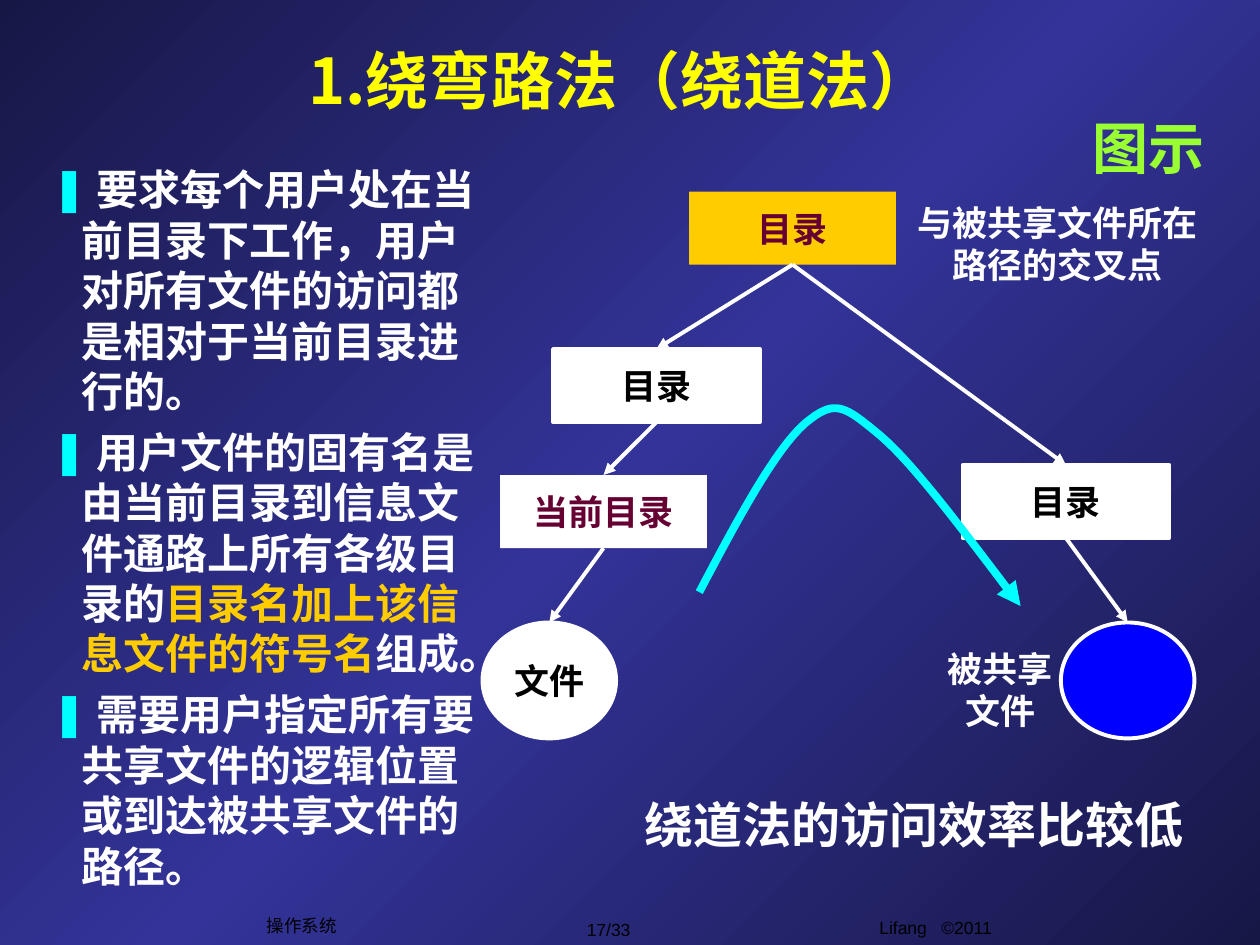
from copy import deepcopy

from lxml.etree import SubElement
from pptx import Presentation
from pptx.dml.color import RGBColor
from pptx.enum.shapes import MSO_CONNECTOR, MSO_SHAPE
from pptx.enum.text import MSO_ANCHOR, MSO_AUTO_SIZE, PP_ALIGN
from pptx.oxml.ns import qn
from pptx.util import Inches, Pt

COLORS = {
    "night": "171746", "indigo": "333399", "white": "FFFFFF", "black": "000000",
    "yellow": "FFFF00", "green": "99FF33", "gold": "FFCC00", "wine": "660033",
    "blue": "0000FF", "cyan": "00FFFF",
}
SERIF = "Times New Roman"
TOP, BOTTOM = 0, 2


def rgb(name):
    return RGBColor.from_string(COLORS[name])


def style(paragraph, size, color, font=SERIF, bold=True, align=PP_ALIGN.CENTER):
    paragraph.alignment = align
    paragraph.font.size = Pt(size)
    paragraph.font.name = font
    paragraph.font.bold = bold
    paragraph.font.color.rgb = rgb(color)


def write(shape, text, size, color, wrap=True, anchor=MSO_ANCHOR.MIDDLE,
          spacing=None, **look):
    frame = shape.text_frame
    frame.auto_size = MSO_AUTO_SIZE.NONE
    frame.word_wrap = wrap
    frame.vertical_anchor = anchor
    paragraph = frame.paragraphs[0]
    paragraph.text = text
    if spacing:
        paragraph.line_spacing = Pt(spacing)
    style(paragraph, size, color, **look)


def place(shape, box):
    shape.left, shape.top, shape.width, shape.height = map(Inches, box)


def add_text(slide, box, text, size, color, **look):
    write(slide.shapes.add_textbox(*map(Inches, box)), text, size, color, **look)


def paint_background(slide):
    fill = slide.background.fill
    fill.gradient()
    fill.gradient_angle = 315
    stop_list = slide.element.find(".//" + qn("a:gsLst"))
    first = stop_list[0]
    for extra in list(stop_list)[1:]:
        stop_list.remove(extra)
    for _ in range(2):
        stop_list.append(deepcopy(first))
    for stop, position, color in zip(fill.gradient_stops, (0, 0.5, 1),
                                     ("night", "indigo", "night")):
        stop.position = position
        stop.color.rgb = rgb(color)


def add_heading(slide, box):
    title = slide.shapes.title
    place(title, box)
    write(title, "1.绕弯路法（绕道法）", 36, "yellow", font="Noto Sans CJK SC")
    left, top, width, _ = box
    add_text(slide, (left + width - 3.75, top + 0.53, 4.4, 0.72), "图示", 32, "green",
             align=PP_ALIGN.RIGHT)


def add_bullet(paragraph):
    properties = paragraph._p.get_or_add_pPr()
    properties.set("marL", str(Inches(0.24)))
    properties.set("indent", str(-Inches(0.24)))
    bullet_color = SubElement(properties, qn("a:buClr"))
    SubElement(bullet_color, qn("a:srgbClr")).set("val", COLORS["cyan"])
    SubElement(properties, qn("a:buChar")).set("char", "❚")


def add_points(slide, box):
    points = [
        [(" 要求每个用户处在当前目录下工作，用户对所有文件的访问都是相对于当前目录进行的。", "white")],
        [(" 用户文件的固有名是由当前目录到信息文件通路上所有各级目录的", "white"),
         ("目录名加上该信息文件的符号名", "gold"), ("组成。", "white")],
        [(" 需要用户指定所有要共享文件的逻辑位置或到达被共享文件的路径。", "white")],
    ]
    body = slide.placeholders[1]
    place(body, box)
    frame = body.text_frame
    frame.auto_size = MSO_AUTO_SIZE.NONE
    frame.word_wrap = True
    frame.vertical_anchor = MSO_ANCHOR.TOP
    for index, parts in enumerate(points):
        paragraph = frame.add_paragraph() if index else frame.paragraphs[0]
        paragraph.space_before = Pt(6 if index else 0)
        paragraph.line_spacing = Pt(28.8)
        add_bullet(paragraph)
        style(paragraph, 24, "white", font="Lato", align=PP_ALIGN.LEFT)
        for text, color in parts:
            run = paragraph.add_run()
            run.text = text
            if color != "white":
                run.font.color.rgb = rgb(color)


def add_node(slide, kind, box, fill, outlined, text="", color="black"):
    node = slide.shapes.add_shape(kind, *map(Inches, box))
    node.shadow.inherit = False
    node.fill.solid()
    node.fill.fore_color.rgb = rgb(fill)
    if outlined:
        node.line.color.rgb = rgb("white")
        node.line.width = Pt(2.25)
    else:
        node.line.fill.background()
    if text:
        write(node, text, 20, color, wrap=False)
    return node


def add_arrowhead(line):
    SubElement(line.line._get_or_add_ln(), qn("a:tailEnd")).set("type", "triangle")


def link(slide, parent, child):
    arrow = slide.shapes.add_connector(MSO_CONNECTOR.STRAIGHT, 0, 0, 0, 0)
    arrow.begin_connect(parent, BOTTOM)
    arrow.end_connect(child, TOP)
    arrow.line.color.rgb = rgb("white")
    arrow.line.width = Pt(2.25)
    add_arrowhead(arrow)
    SubElement(arrow._element.spPr, qn("a:effectLst"))


def bezier(controls, t):
    weights = ((1 - t) ** 3, 3 * t * (1 - t) ** 2, 3 * t * t * (1 - t), t ** 3)
    return tuple(sum(w * point[axis] for w, point in zip(weights, controls))
                 for axis in (0, 1))


def add_detour(slide, left, top):
    bends = [(1.75, 3.2), (2.05, 2.63), (2.35, 2.07), (2.59, 1.86), (2.83, 1.66),
             (2.9, 1.72), (3.19, 1.96), (3.47, 2.2), (3.88, 2.76), (4.3, 3.31)]
    steps = 16
    points = [bends[0]] + [bezier(bends[start:start + 4], step / steps)
                           for start in (0, 3, 6) for step in range(1, steps + 1)]
    (x, y), *rest = [(Inches(left + px), Inches(top + py)) for px, py in points]
    builder = slide.shapes.build_freeform(x, y)
    builder.add_line_segments(rest, close=False)
    detour = builder.convert_to_shape()
    detour.shadow.inherit = False
    detour.fill.background()
    detour.line.color.rgb = rgb("cyan")
    detour.line.width = Pt(4.5)
    add_arrowhead(detour)


def add_directory_tree(slide, box):
    left, top, width, height = box
    rect, oval = MSO_SHAPE.RECTANGLE, MSO_SHAPE.OVAL

    def directory(x, y, *look):
        return add_node(slide, rect, (left + x, top + y, 1.64, 0.58), *look)

    def leaf(x, *look):
        return add_node(slide, oval, (left + x, top + height - 0.92, 1.06, 0.92), *look)

    file = leaf(0.03, "white", True, "文件")
    current = directory(0.17, 2.27, "white", False, "当前目录", "wine")
    inner = directory(0.59, 1.27, "white", True, "目录")
    crossing = directory(1.67, 0.02, "gold", False, "目录", "wine")
    other = directory(3.84, 2.19, "white", True, "目录")
    shared = leaf(4.62, "blue", True)
    for parent, child in ((crossing, inner), (inner, current), (current, file),
                          (crossing, other), (other, shared)):
        link(slide, parent, child)
    add_text(slide, (left + width - 2.61, top + 0.05, 2.61, 0.77),
             "与被共享文件所在路径的交叉点", 20, "white", spacing=24)
    add_detour(slide, left, top)
    add_text(slide, (left + 3.53, top + 3.59, 1.22, 0.77), "被共享文件", 20, "white",
             spacing=24)


def add_footer(slide, box):
    left, top, _, _ = box
    small = dict(size=10, color="black", font="Arial", bold=False)
    add_text(slide, (left, top, 0.75, 0.27), "操作系统", wrap=False, **small)
    add_text(slide, (left + 2.3, top + 0.03, 1.02, 0.27), "17/33", wrap=False, **small)
    add_text(slide, (left + 3.82, top + 0.02, 3.17, 0.35), "Lifang   ©2011",
             anchor=MSO_ANCHOR.TOP, **small)


def main():
    deck = Presentation()
    deck.slide_width, deck.slide_height = Inches(10), Inches(7.5)
    slide = deck.slides.add_slide(deck.slide_layouts[1])
    paint_background(slide)
    add_footer(slide, (2.02, 7.21, 6.99, 0.37))
    add_heading(slide, (0.84, 0.28, 8.17, 0.7))
    add_directory_tree(slide, (3.8, 1.5, 5.9, 4.36))
    add_text(slide, (5.02, 6.26, 4.47, 0.57), "绕道法的访问效率比较低", 28, "white",
             wrap=False, anchor=MSO_ANCHOR.TOP, align=PP_ALIGN.LEFT)
    add_points(slide, (0.31, 1.25, 3.65, 5.47))
    deck.save("out.pptx")


if __name__ == "__main__":
    main()
